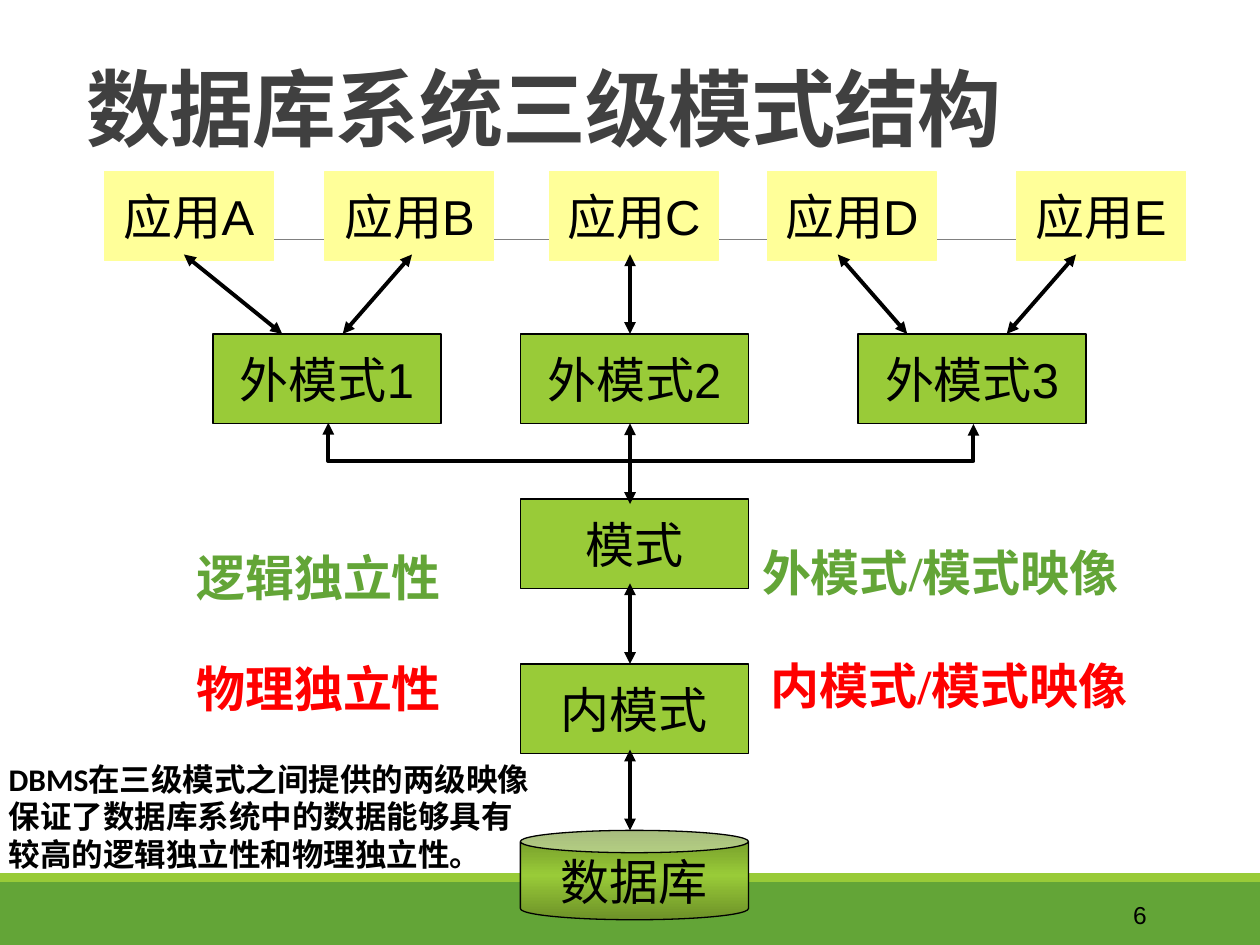
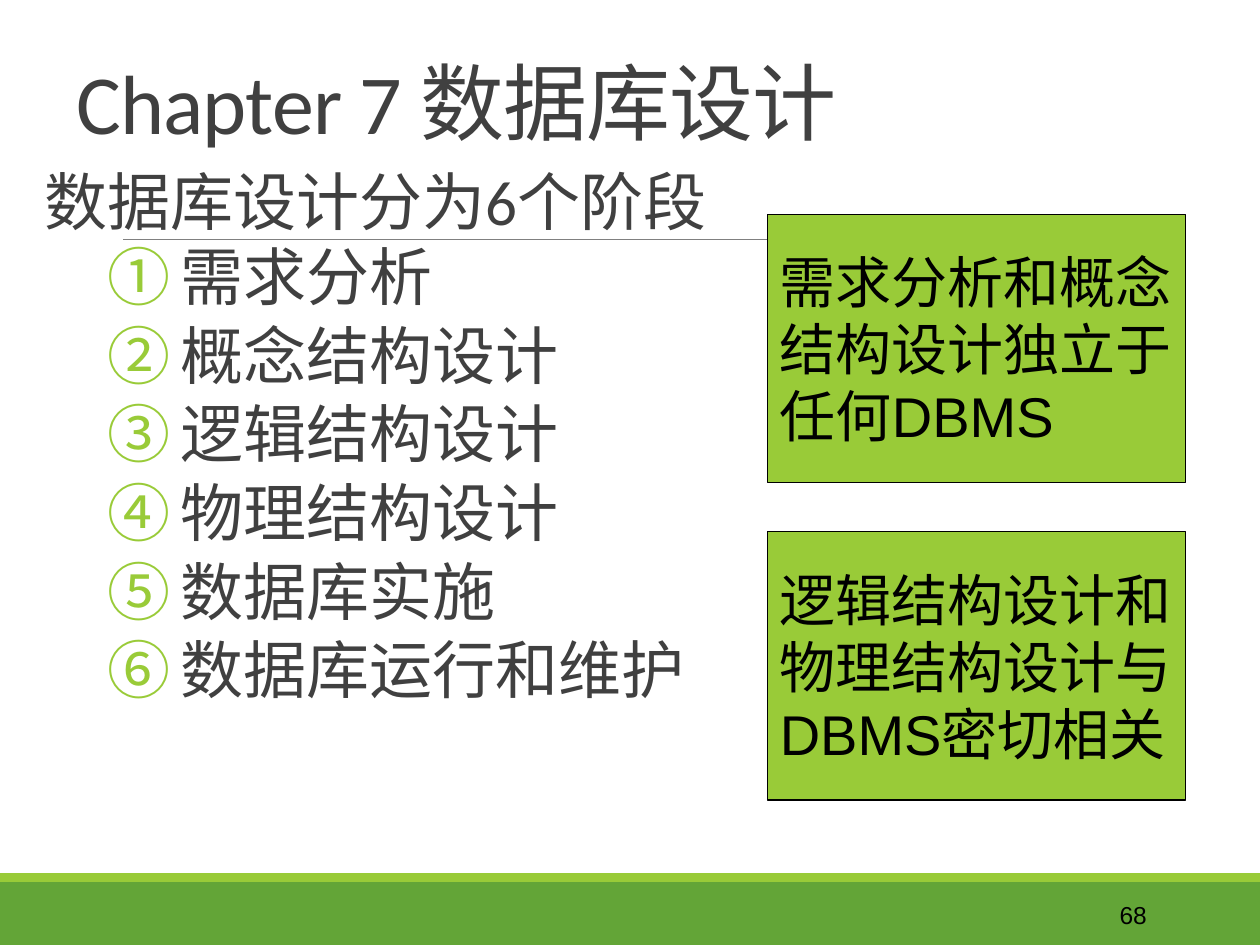
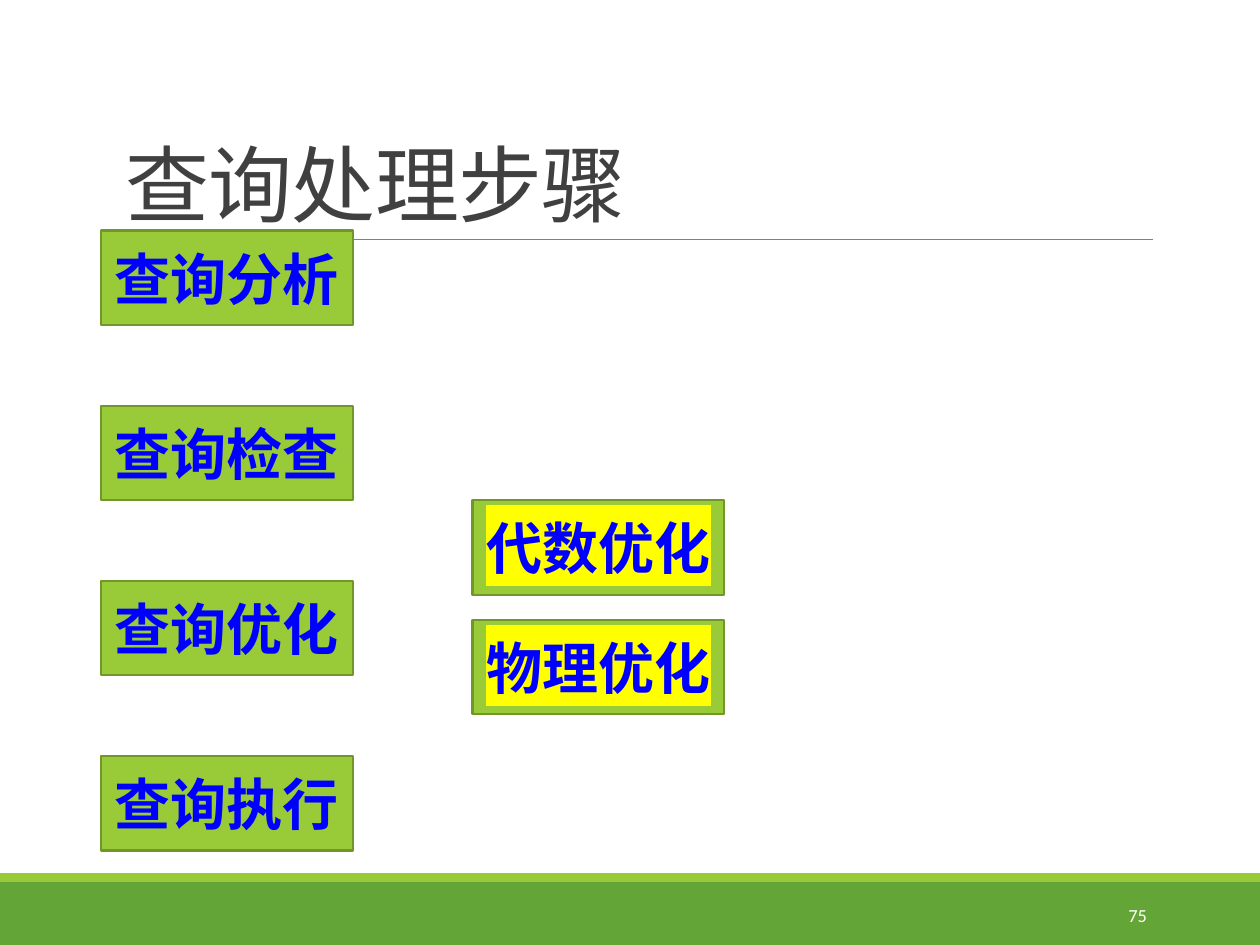
from copy import deepcopy

from pptx import Presentation
from pptx.dml.color import RGBColor
from pptx.enum.shapes import MSO_CONNECTOR as LINE, MSO_SHAPE as SHAPE
from pptx.enum.text import MSO_ANCHOR as ANCHOR, PP_ALIGN as ALIGN
from pptx.oxml.ns import qn
from pptx.oxml.xmlchemy import OxmlElement
from pptx.util import Inches, Pt

GREEN, LIME, MOSS, OLIVE = "63A537", "99CB38", "719629", "6D9128"
CREAM, YELLOW, GREY, RULE = "FFFF99", "FFFF00", "404040", "808080"
BLACK, WHITE, RED, BLUE = "000000", "FFFFFF", "FF0000", "0000FF"


def rgb(color):
    return RGBColor.from_string(color)


def element(tag, **attributes):
    e = OxmlElement(tag)
    for name, value in attributes.items():
        e.set(name, str(value))
    return e


def write(p, text, size=28, font="Arial", color=BLACK, bold=False,
          align=ALIGN.LEFT, leading=None, before=0, after=0,
          tracking=None, highlight=None):
    p.alignment = align
    p.line_spacing = leading
    p.space_before, p.space_after = Pt(before), Pt(after)
    r = p.add_run()
    r.text = text
    r.font.size, r.font.name, r.font.bold = Pt(size), font, bold
    r.font.color.rgb = rgb(color)
    rPr = r.font._element
    if tracking:
        rPr.set("spc", str(int(tracking * 100)))
    if highlight:
        mark = element("a:highlight")
        mark.append(element("a:srgbClr", val=highlight))
        rPr.find(qn("a:solidFill")).addnext(mark)


def indent(p, left, hanging, bullet_color=None):
    pPr = p._p.get_or_add_pPr()
    pPr.set("marL", str(Inches(left)))
    pPr.set("indent", str(-Inches(hanging)))
    if bullet_color:
        color = element("a:buClr")
        color.append(element("a:srgbClr", val=bullet_color))
        pPr.append(color)
        pPr.append(element("a:buFont", typeface="+mj-lt"))
        pPr.append(element("a:buAutoNum", type="circleNumDbPlain"))


class Deck:
    def __init__(self):
        self.prs = Presentation()
        self.prs.slide_width, self.prs.slide_height = Inches(10), Inches(7.5)

    def slide(self, title, title_at, number, bold=False, **number_format):
        self.s = self.prs.slides.add_slide(self.prs.slide_layouts[6])
        self.box((0, 7, 10, 0.5), fill=GREEN)
        self.box((0, 6.93, 10, 0.07), fill=LIME)
        self.line((0.98, 1.9), (9.15, 1.9), RULE, 0.5, arrows=False)
        self.text(title_at, title, ANCHOR.BOTTOM, size=48, font="Calibri",
                  color=GREY, bold=bold, leading=0.85, tracking=-0.5)
        self.text((8.12, 7.06, 1.08, 0.4), number, ANCHOR.MIDDLE,
                  **{"size": 14, "align": ALIGN.RIGHT, **number_format})

    def text(self, at, text="", anchor=ANCHOR.TOP, **fmt):
        sp = self.s.shapes.add_textbox(*map(Inches, at))
        tf = sp.text_frame
        tf.word_wrap, tf.vertical_anchor = True, anchor
        if text:
            write(tf.paragraphs[0], text, **fmt)
        return tf

    def box(self, at, text="", fill=LIME, line=None, width=0.75,
            wrap=True, kind=SHAPE.RECTANGLE, **fmt):
        sp = self.s.shapes.add_shape(kind, *map(Inches, at))
        sp.shadow.inherit = False
        sp.fill.solid()
        sp.fill.fore_color.rgb = rgb(fill)
        if line:
            sp.line.color.rgb = rgb(line)
            sp.line.width = Pt(width)
        else:
            sp.line.fill.background()
        if text:
            tf = sp.text_frame
            tf.word_wrap, tf.vertical_anchor = wrap, ANCHOR.MIDDLE
            write(tf.paragraphs[0], text, **{"align": ALIGN.CENTER, **fmt})
        return sp

    def gradient(self, sp, colors):
        sp.fill.gradient()
        sp.fill.gradient_angle = 90
        stops = sp._element.spPr.find(".//" + qn("a:gsLst"))
        while len(stops) < len(colors):
            stops.append(deepcopy(stops[0]))
        for i, (stop, color) in enumerate(zip(sp.fill.gradient_stops, colors)):
            stop.color.rgb = rgb(color)
            stop.position = i / (len(colors) - 1)

    def line(self, start, end, color=BLACK, width=2.25, arrows=True,
             kind=LINE.STRAIGHT):
        sp = self.s.shapes.add_connector(kind, *map(Inches, start + end))
        sp.line.color.rgb = rgb(color)
        sp.line.width = Pt(width)
        if arrows:
            ln = sp.line._get_or_add_ln()
            ln.append(element("a:headEnd", type="triangle"))
            ln.append(element("a:tailEnd", type="triangle"))
        sp._element.spPr.append(element("a:effectLst"))
        return sp

    def bracket(self, left, right, y, depth):
        mid, half, thin = (left + right) / 2, (right - left) / 2, 0.01
        sp = self.line((mid + thin, y - half), (mid, y + half), kind=LINE.ELBOW)
        spPr = sp._element.spPr
        spPr.find(qn("a:xfrm")).set("rot", str(270 * 60000))
        geom = spPr.find(qn("a:prstGeom"))
        for old in geom.findall(qn("a:avLst")):
            geom.remove(old)
        guides = element("a:avLst")
        guides.append(element("a:gd", name="adj1",
                              fmla=f"val {round(depth / thin * 100000)}"))
        geom.append(guides)


def three_schemas(d):
    d.slide("数据库系统三级模式结构", (0.59, 0.05, 9, 1.25), "6", bold=True)
    level = dict(line=BLACK, wrap=False)
    store = d.box((4.13, 6.59, 1.81, 0.71), "数据库", kind=SHAPE.CAN, **level)
    d.gradient(store, (OLIVE, LIME, OLIVE))
    for name, x, y in (("内模式", 4.13, 5.27), ("模式", 4.13, 3.96),
                       ("外模式1", 1.69, 2.65), ("外模式2", 4.13, 2.65),
                       ("外模式3", 6.81, 2.65)):
        d.box((x, y, 1.81, 0.71), name, **level)
    for app, x in zip("ABCDE", (0.83, 2.58, 4.36, 6.09, 8.07)):
        d.box((x, 1.36, 1.34, 0.71), "应用" + app, fill=CREAM, line=CREAM,
              wrap=False)
    for app_x, view_x in ((1.46, 2.24), (3.27, 2.72), (5, 5),
                          (6.65, 7.2), (8.54, 7.99)):
        d.line((app_x, 2.02), (view_x, 2.65))
    for top in (3.36, 4.63, 5.95):
        d.line((5, top), (5, top + 0.64))
    d.bracket(2.6, 7.72, 3.36, 0.31)
    for label, x, y, w, color in (("内模式/模式映像", 6.02, 5.15, 3.23, RED),
                                  ("外模式/模式映像", 5.95, 4.26, 3.23, GREEN),
                                  ("物理独立性", 1.46, 5.18, 2.5, RED),
                                  ("逻辑独立性", 1.46, 4.3, 2.67, GREEN)):
        d.text((x, y, w, 0.57), label, font="Times New Roman", color=color,
               bold=True)
    d.text((-0.03, 5.98, 4.43, 1.01),
           "DBMS在三级模式之间提供的两级映像保证了数据库系统中的数据"
           "能够具有较高的逻辑独立性和物理独立性。",
           size=18, font="Calibri", bold=True)


def design_stages(d):
    d.slide("Chapter 7 数据库设计", (0.51, 0, 9, 1.25), "68")
    tf = d.text((0.35, 1.31, 9.41, 5.64))
    tf.margin_left = tf.margin_right = 0
    body = dict(size=36, font="Calibri", color=GREY, leading=0.9)
    p = tf.paragraphs[0]
    write(p, "数据库设计分为6个阶段", before=12, after=2, **body)
    indent(p, 0.67, 0.67)
    for stage in ("需求分析", "概念结构设计", "逻辑结构设计", "物理结构设计",
                  "数据库实施", "数据库运行和维护"):
        p = tf.add_paragraph()
        write(p, stage, before=2, after=4, **body)
        indent(p, 1.08, 0.58, LIME)
    for y, note in ((1.7, "需求分析和概念结构设计独立于任何DBMS"),
                    (4.22, "逻辑结构设计和物理结构设计与DBMS密切相关")):
        d.box((6.09, y, 3.32, 2.13), note, line=BLACK, size=32,
              align=ALIGN.LEFT)


def query_steps(d):
    d.slide("查询处理步骤", (0.9, 0.31, 8.25, 1.59), "75",
            size=10.5, font="Calibri", color=WHITE)
    step = dict(line=MOSS, width=1.25, size=32, font="Calibri", color=BLUE,
                bold=True)
    for i, name in enumerate(("查询分析", "查询检查", "查询优化", "查询执行")):
        d.box((0.8, 1.83 + i * 1.39, 2, 0.75), name, **step)
    for i, name in enumerate(("代数优化", "物理优化")):
        d.box((3.75, 3.97 + i * 0.95, 2, 0.75), name, highlight=YELLOW, **step)


def main():
    d = Deck()
    three_schemas(d)
    design_stages(d)
    query_steps(d)
    d.prs.save("out.pptx")


if __name__ == "__main__":
    main()
